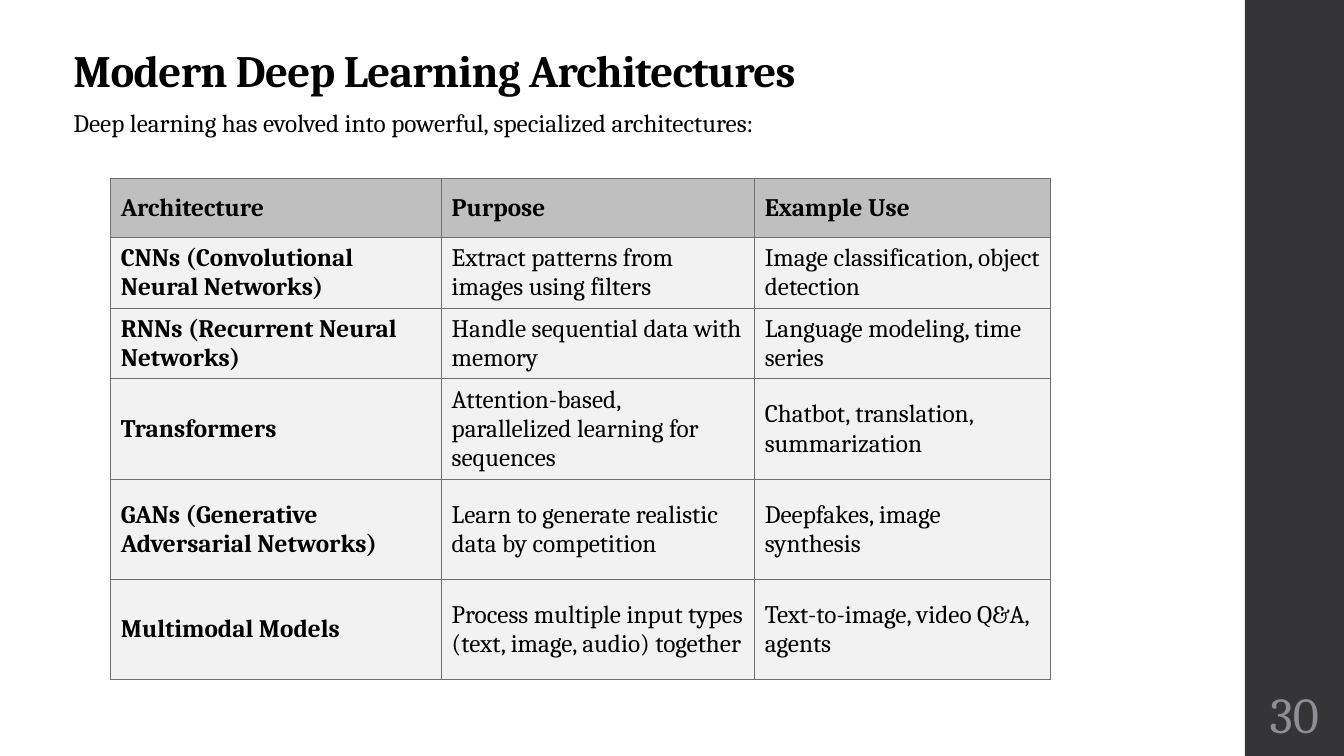
from lxml import etree
from pptx import Presentation
from pptx import util as u
from pptx.dml.color import RGBColor
from pptx.enum import shapes, text
from pptx.oxml import ns

FONT = "Cambria"
BLACK = "000000"
SIDEBAR_LEFT, SIDEBAR_WIDTH = 31.37, 2.5
COLUMN_WIDTHS = [8.34, 7.89, 7.46]
ROW_HEIGHTS = [1.49, 1.76, 1.76, 2.52, 2.52, 2.52]
ARCHITECTURES = [
    ("Architecture", "Purpose", "Example Use"),
    ("CNNs (Convolutional Neural Networks)",
     "Extract patterns from images using filters",
     "Image classification, object detection"),
    ("RNNs (Recurrent Neural Networks)",
     "Handle sequential data with memory",
     "Language modeling, time series"),
    ("Transformers",
     "Attention-based, parallelized learning for sequences",
     "Chatbot, translation, summarization"),
    ("GANs (Generative Adversarial Networks)",
     "Learn to generate realistic data by competition",
     "Deepfakes, image synthesis"),
    ("Multimodal Models",
     "Process multiple input types (text, image, audio) together",
     "Text-to-image, video Q&A, agents"),
]


def paint(target, color):
    target.solid()
    target.fore_color.rgb = RGBColor.from_string(color)


def write(paragraph, words, size, color=BLACK, bold=False):
    run = paragraph.add_run()
    run.text = words
    run.font.name = FONT
    run.font.size = u.Pt(size)
    run.font.bold = bold
    paint(run.font.fill, color)
    return run


def add_text(slide, box, words, size, anchor=text.MSO_ANCHOR.TOP, **style):
    frame = slide.shapes.add_textbox(*map(u.Cm, box)).text_frame
    frame.word_wrap = True
    frame.vertical_anchor = anchor
    paragraph = frame.paragraphs[0]
    return paragraph, write(paragraph, words, size, **style)


def add_sidebar(slide, height):
    box = SIDEBAR_LEFT, 0, SIDEBAR_WIDTH, height
    sidebar = slide.shapes.add_shape(shapes.MSO_SHAPE.RECTANGLE, *map(u.Cm, box))
    sidebar.shadow.inherit = False
    paint(sidebar.fill, "353537")
    sidebar.line.fill.background()


def add_borders(cell, color, width):
    properties = cell._tc.get_or_add_tcPr()
    for position, side in enumerate(("a:lnL", "a:lnR", "a:lnT", "a:lnB")):
        border = etree.Element(ns.qn(side), w=str(u.Pt(width)))
        fill = etree.SubElement(border, ns.qn("a:solidFill"))
        etree.SubElement(fill, ns.qn("a:srgbClr"), val=color)
        properties.insert(position, border)


def add_architecture_table(slide, left, top):
    box = left, top, sum(COLUMN_WIDTHS), sum(ROW_HEIGHTS)
    table = slide.shapes.add_table(
        len(ROW_HEIGHTS), len(COLUMN_WIDTHS), *map(u.Cm, box)).table
    for column, width in zip(table.columns, COLUMN_WIDTHS):
        column.width = u.Cm(width)
    for row, height in zip(table.rows, ROW_HEIGHTS):
        row.height = u.Cm(height)
    for r, entries in enumerate(ARCHITECTURES):
        for c, entry in enumerate(entries):
            cell = table.cell(r, c)
            cell.vertical_anchor = text.MSO_ANCHOR.MIDDLE
            paint(cell.fill, "F2F2F2" if r else "BFBFBF")
            add_borders(cell, "6F6F74", 0.75)
            write(cell.text_frame.paragraphs[0], entry, 18, bold=r == 0 or c == 0)


def main():
    deck = Presentation()
    deck.slide_width, deck.slide_height = u.Cm(33.87), u.Cm(19.05)
    slide = deck.slides.add_slide(deck.slide_layouts[6])
    paint(slide.background.fill, "FFFFFF")

    add_sidebar(slide, 19.05)
    heading, heading_run = add_text(
        slide, (1.6, 0.84, 24.69, 1.73), "Modern Deep Learning Architectures",
        32, text.MSO_ANCHOR.BOTTOM, bold=True)
    heading.line_spacing = 0.9
    heading_run.font._element.set("spc", "-50")
    add_architecture_table(slide, 2.79, 4.5)
    page_number, _ = add_text(
        slide, (SIDEBAR_LEFT, 17.15, SIDEBAR_WIDTH, 1.65), "30",
        36, text.MSO_ANCHOR.MIDDLE, color="8E8E94")
    page_number.alignment = text.PP_ALIGN.CENTER
    add_text(slide, (1.6, 2.57, 21.62, 1.02),
             "Deep learning has evolved into powerful, specialized architectures:", 18)

    deck.save("out.pptx")


if __name__ == "__main__":
    main()
